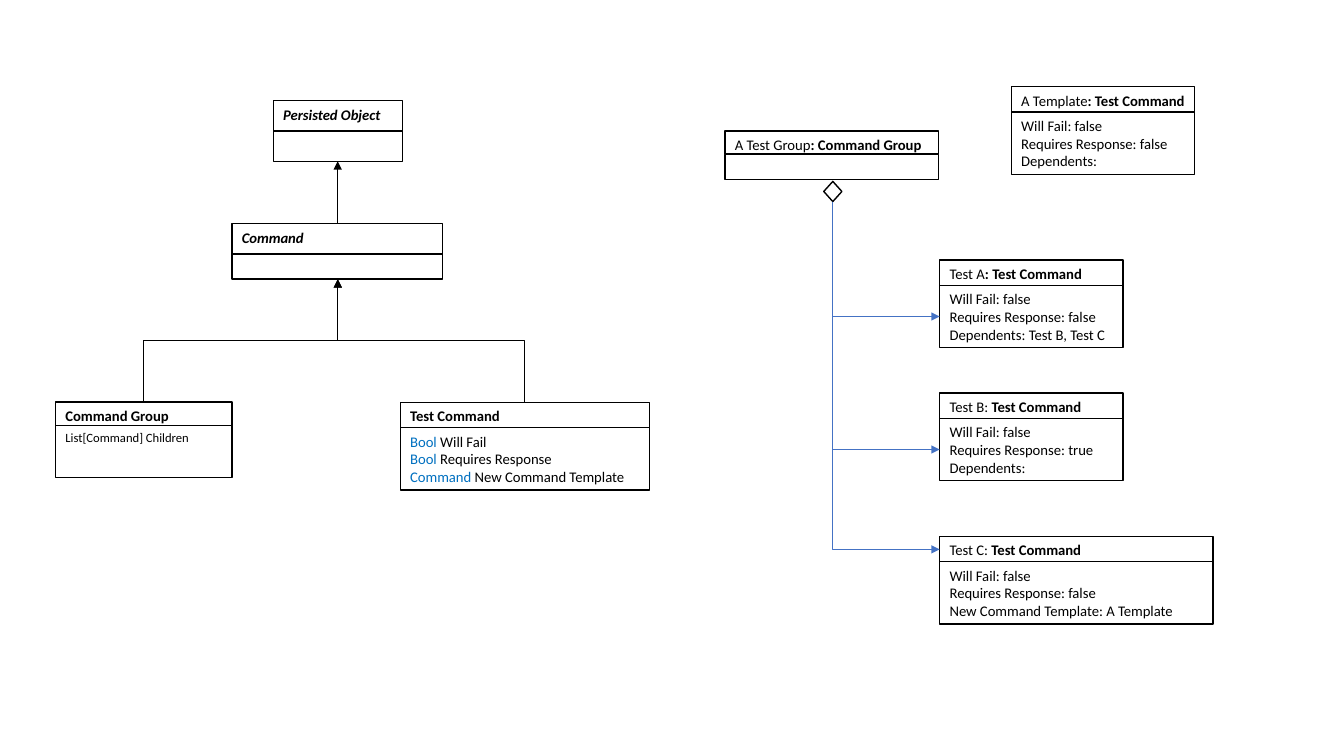
from dataclasses import dataclass

from lxml import etree
from pptx import Presentation
from pptx.dml.color import RGBColor
from pptx.enum import shapes, text
from pptx.oxml import ns
from pptx.util import Inches, Pt


@dataclass(frozen=True)
class Theme:
    font: str = "Calibri"
    size: float = 10.5
    small: float = 9
    ink: str = "000000"
    paper: str = "FFFFFF"
    keyword: str = "0070C0"
    link: str = "4472C4"
    border: float = 1
    thin: float = 0.5


THEME = Theme()


def rgb(value):
    return RGBColor.from_string(value)


def write(paragraph, words, size=THEME.size, color=THEME.ink, bold=False, italic=False):
    run = paragraph.add_run()
    run.text = words
    font = run.font
    font.name, font.size, font.bold, font.italic = THEME.font, Pt(size), bold, italic
    font.color.rgb = rgb(color)


def outline(slide, kind, left, top, width, height):
    """Add a white shape with a black border and return its text frame."""
    shape = slide.shapes.add_shape(
        kind, Inches(left), Inches(top), Inches(width), Inches(height))
    shape.shadow.inherit = False
    shape.fill.solid()
    shape.fill.fore_color.rgb = rgb(THEME.paper)
    shape.line.color.rgb = rgb(THEME.ink)
    shape.line.width = Pt(THEME.border)
    frame = shape.text_frame
    frame.word_wrap = False
    frame.vertical_anchor = text.MSO_ANCHOR.TOP
    return frame


def card(slide, box, title, rows=(), header=0.25, overlap=0.0, size=THEME.size):
    """Title compartment above a body; rows and title are lists of (words, format)."""
    left, top, width, height = box
    compartments = [
        (top, header + overlap, [title]),
        (top + header, height - header, rows),
    ]
    for y, tall, lines in compartments:
        frame = outline(slide, shapes.MSO_SHAPE.RECTANGLE, left, y, width, tall)
        for index, line in enumerate(lines):
            paragraph = frame.paragraphs[0] if index == 0 else frame.add_paragraph()
            paragraph.alignment = text.PP_ALIGN.LEFT
            for words, style in line:
                write(paragraph, words, **{"size": size if lines is rows else THEME.size, **style})


def connect(slide, start, end, color, arrow, bend="bentConnector3"):
    """Connector that leaves start downwards; arrow is headEnd or tailEnd."""
    (x1, y1), (x2, y2) = start, end
    straight = x1 == x2
    if straight:
        kind, corners = shapes.MSO_CONNECTOR.STRAIGHT, (x1, y1, x2, y2)
    else:
        # The unrotated frame is as wide as the drop and as tall as the sideways run.
        mid_x, mid_y = (x1 + x2) / 2, (y1 + y2) / 2
        half_w, half_h = (y2 - y1) / 2, abs(x2 - x1) / 2
        kind = shapes.MSO_CONNECTOR.ELBOW
        corners = (mid_x - half_w, mid_y - half_h, mid_x + half_w, mid_y + half_h)
    link = slide.shapes.add_connector(kind, *map(Inches, corners))
    link.line.color.rgb = rgb(color)
    link.line.width = Pt(THEME.thin)
    props = link._element.spPr
    if not straight:
        frame = props.find(ns.qn("a:xfrm"))
        frame.set("rot", str((270 if x2 > x1 else 90) * 60000))
        if x2 > x1:
            frame.set("flipH", "1")
        props.find(ns.qn("a:prstGeom")).set("prst", bend)
    etree.SubElement(props.find(ns.qn("a:ln")), ns.qn(f"a:{arrow}"), type="triangle")
    etree.SubElement(props, ns.qn("a:effectLst"))


def class_diagram(slide, left, top):
    """Class hierarchy: abstract parents above two concrete commands."""
    bold, abstract = {"bold": True}, {"bold": True, "italic": True}
    keyword = {"color": THEME.keyword}
    axis, group_y = left + 2.8, top + 2.99
    card(slide, (left + 2.16, top, 1.28, 0.6), [("Persisted Object", abstract)], header=0.3)
    card(slide, (left + 1.75, top + 1.22, 2.09, 0.55), [("Command", abstract)], header=0.3)
    card(slide, (left, group_y, 1.75, 0.75), [("Command Group", bold)],
         [[("List[Command] Children", {})]], header=0.23, size=THEME.small)
    fields = [("Bool", "Will Fail"), ("Bool", "Requires Response"),
              ("Command", "New Command Template")]
    card(slide, (left + 3.42, group_y, 2.47, 0.87), [("Test Command", bold)],
         [[(kind, keyword), (f" {name}", {})] for kind, name in fields], overlap=0.1)

    # Inheritance arrows point up to the parent
    connect(slide, (axis, top + 0.6), (axis, top + 1.22), THEME.ink, "headEnd")
    for child_x in (left + 0.87, left + 4.65):
        connect(slide, (axis, top + 1.77), (child_x, group_y), THEME.ink, "headEnd")


def object_diagram(slide, left, top):
    """Example objects: a group that aggregates tests, and a separate template."""
    bold = {"bold": True}
    test_x, axis = left + 2.13, left + 1.07
    fails, no_reply = "Will Fail: false", "Requires Response: false"
    card(slide, (left, top + 0.44, 2.12, 0.48),
         [("A Test Group", {}), (": Command Group", bold)], header=0.23)
    outline(slide, shapes.MSO_SHAPE.DIAMOND, axis - 0.09, top + 0.94, 0.18, 0.2)

    # x, y, width, plain and bold title, last two rows, arrow height (None: no arrow)
    objects = [
        (left + 2.84, 0, 1.82, "A Template", ": Test Command", no_reply, "Dependents:", None),
        (test_x, 1.72, 1.82, "Test A", ": Test Command", no_reply,
         "Dependents: Test B, Test C", 0.56),
        (test_x, 3.04, 1.82, "Test B:", " Test Command", "Requires Response: true",
         "Dependents:", 0.56),
        (test_x, 4.46, 2.71, "Test C:", " Test Command", no_reply,
         "New Command Template: A Template", 0.13),
    ]
    for x, y, width, name, kind, reply, last, arrow_y in objects:
        card(slide, (x, top + y, width, 0.87), [(name, {}), (kind, bold)],
             [[(row, {})] for row in (fails, reply, last)], overlap=0.1)
        if arrow_y is not None:
            connect(slide, (axis, top + 1.14), (x, top + y + arrow_y),
                    THEME.link, "tailEnd", "bentConnector2")


deck = Presentation()
deck.slide_width, deck.slide_height = Inches(13.33), Inches(7.5)
page = deck.slides.add_slide(deck.slide_layouts[6])
class_diagram(page, 0.55, 1)
object_diagram(page, 7.19, 0.86)
deck.save("out.pptx")
